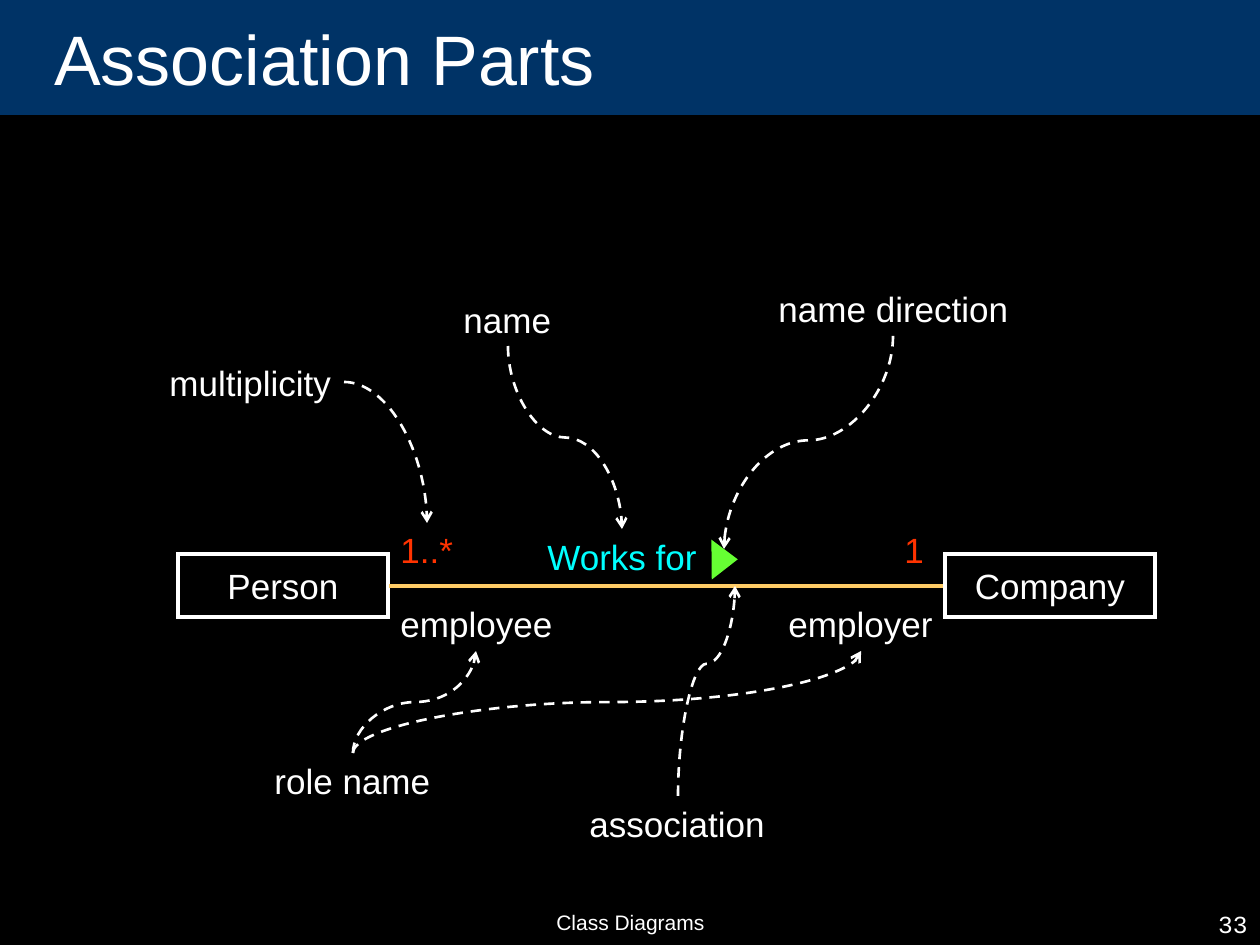
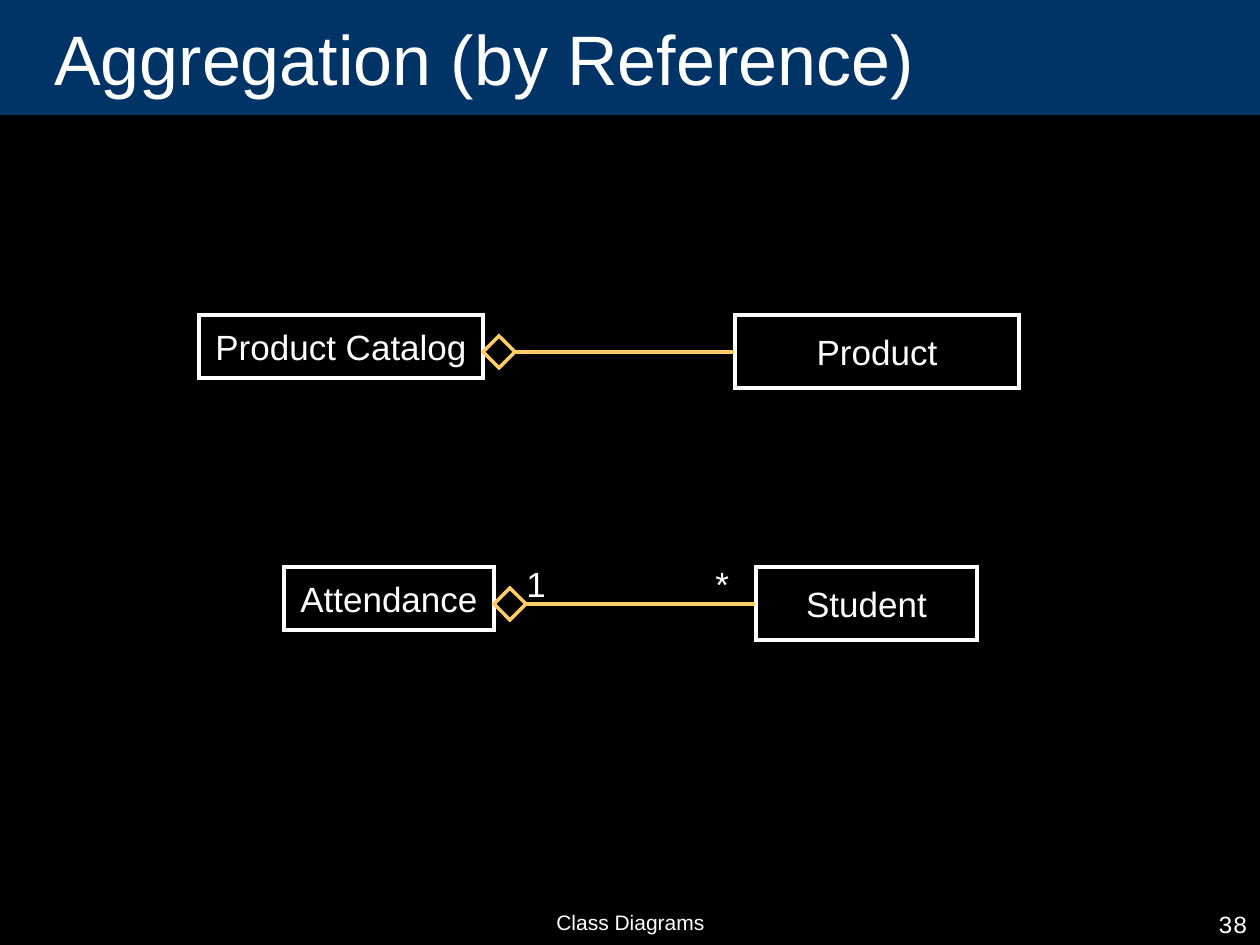
from lxml import etree
from pptx import Presentation
from pptx.dml.color import RGBColor
from pptx.enum import dml, shapes, text
from pptx.oxml.ns import qn
from pptx.util import Emu, Pt

PX = 914400 / 126
BLACK, NAVY, WHITE = "000000", "003366", "FFFFFF"
GOLD, CYAN, GREEN, RED = "FFCC66", "00FFFF", "66FF33", "FF3300"
FORM, ALIGN = shapes.MSO_SHAPE, text.PP_ALIGN


def px(*sizes):
    """Turn pixel lengths into EMU."""
    return [Emu(round(size * PX)) for size in sizes]


def paint(color, tone):
    """Set a colour object from a hex string."""
    color.rgb = RGBColor.from_string(tone)


def write(shape, words, size=20, tone=WHITE, align=ALIGN.LEFT, face="Arial"):
    """Write one line of text into a shape."""
    para = shape.text_frame.paragraphs[0]
    para.alignment = align
    run = para.add_run()
    run.text = words
    run.font.size = Pt(size)
    run.font.name = face
    paint(run.font.color, tone)


def form(slide, kind, box, fill=None, edge=None, width=2):
    """Add a flat preset shape with sharp corners."""
    shape = slide.shapes.add_shape(kind, *px(*box))
    shape.shadow.inherit = False
    if fill:
        shape.fill.solid()
        paint(shape.fill.fore_color, fill)
    else:
        shape.fill.background()
    if edge:
        paint(shape.line.color, edge)
        shape.line.width = Pt(width)
        etree.SubElement(shape.line._get_or_add_ln(), qn("a:miter"), lim="800000")
    else:
        shape.line.fill.background()
    return shape


def entity(slide, name, box):
    """Add an outlined class box with its name."""
    shape = form(slide, FORM.RECTANGLE, box, edge=WHITE)
    shape.text_frame.word_wrap = False
    shape.text_frame.vertical_anchor = text.MSO_ANCHOR.MIDDLE
    write(shape, name, align=ALIGN.CENTER)


def label(slide, words, x, y, wide, tone=WHITE):
    """Add a label that does not wrap."""
    shape = slide.shapes.add_textbox(*px(x, y, wide, 54))
    shape.text_frame.word_wrap = False
    shape.text_frame.auto_size = text.MSO_AUTO_SIZE.SHAPE_TO_FIT_TEXT
    write(shape, words, tone=tone)


def link(slide, start, end, kind=shapes.MSO_CONNECTOR.STRAIGHT, tone=GOLD, width=2):
    """Add a connector without shadow."""
    line = slide.shapes.add_connector(kind, *px(*start, *end))
    paint(line.line.color, tone)
    line.line.width = Pt(width)
    etree.SubElement(line._element.spPr, qn("a:effectLst"))
    return line


def curve(slide, start, end, bend=None):
    """Add a dashed arrow: an S leaving upright, or a quarter bend without bend."""
    (x, y), (right, low) = start, end
    if bend is not None:
        mid_x, mid_y = (x + right) / 2, (y + low) / 2
        tall, wide = abs(low - y) / 2, abs(right - x) / 2
        turn = 90 if right < x else 270
        side = tall if (low > y) == (turn == 90) else -tall
        start = mid_x - side, mid_y - wide
        end = mid_x + side, mid_y + wide
    line = link(slide, start, end, shapes.MSO_CONNECTOR.CURVE, WHITE, 1.5)
    line.line.dash_style = dml.MSO_LINE.DASH
    etree.SubElement(line.line._get_or_add_ln(), qn("a:tailEnd"), type="arrow")
    props = line._element.spPr
    shape = props.find(qn("a:prstGeom"))
    if bend is None:
        shape.set("prst", "curvedConnector2")
    else:
        props.find(qn("a:xfrm")).set("rot", str(turn * 60000))
        etree.SubElement(shape.find(qn("a:avLst")), qn("a:gd"),
                         name="adj1", fmla=f"val {round(bend * 100000)}")


def frame(deck, title, page):
    """Add a slide with its band, title and footer."""
    slide = deck.slides.add_slide(deck.slide_layouts[6])
    slide.background.fill.solid()
    paint(slide.background.fill.fore_color, BLACK)
    form(slide, FORM.RECTANGLE, (0, 0, 1260, 115), NAVY)
    head = form(slide, FORM.RECTANGLE, (42, 0, 1124, 115), NAVY)
    head.text_frame.vertical_anchor = text.MSO_ANCHOR.MIDDLE
    write(head, title, 40)
    for words, x, wide, size, align, face in (
            ("Class Diagrams", 431, 399, 12, ALIGN.CENTER, "Arial"),
            (page, 998, 262, 14, ALIGN.RIGHT, "Courier New")):
        foot = slide.shapes.add_textbox(*px(x, 903, wide, 42))
        foot.text_frame.word_wrap = True
        write(foot, words, size, align=align, face=face)
    return slide


def parts(slide, left, top):
    """Draw the association and the arrows that name its parts."""
    for name, x in (("Person", 20), ("Company", 787)):
        entity(slide, name, (left + x, top + 273, 210, 63))
    link(slide, (left + 231, top + 305), (left + 785, top + 305))
    sign = form(slide, FORM.FLOWCHART_EXTRACT, (left + 550, top + 268, 32, 21),
                GREEN, GREEN, 2.25)
    sign.rotation = 89.5
    for words, x, y, wide, tone in (
            ("Works for", 377, 248, 178, CYAN),
            ("employee", 230, 315, 182, WHITE),
            ("employer", 618, 315, 173, WHITE),
            ("1..*", 230, 241, 82, RED),
            ("1", 734, 241, 48, RED),
            ("name", 293, 11, 117, WHITE),
            ("name direction", 608, 0, 259, WHITE),
            ("association", 419, 515, 206, WHITE),
            ("role name", 104, 472, 185, WHITE),
            ("multiplicity", -1, 74, 194, WHITE)):
        label(slide, words, left + x, top + y, wide, tone)
    for x, y, right, low, bend in (
            (186, 101, 269, 242, None),
            (350, 65, 464, 248, 0.5),
            (735, 55, 566, 268, 0.49),
            (195, 472, 318, 370, 0.5),
            (195, 472, 703, 370, 0.5),
            (520, 515, 577, 305, 0.63)):
        curve(slide, (left + x, top + y), (left + right, top + low), bend)


def owns(slide, box, whole, part, ends=()):
    """Draw a whole and its part, joined by a diamond and a line."""
    x, y, wide, high = box
    (name, span), (item, size) = whole, part
    joint, side = x + span, x + wide - size
    entity(slide, name, (x, y, span, high - 10))
    entity(slide, item, (side, y, size, high))
    form(slide, FORM.DIAMOND, (joint, y + 21, 32, 32), edge=GOLD)
    link(slide, (joint + 33, y + 37), (side - 1, y + 37))
    for words, spot, room in zip(ends, (joint + 20, side - 53), (48, 42)):
        label(slide, words, spot, y - 11, room)


def main():
    """Build both slides and save them."""
    deck = Presentation()
    deck.slide_width, deck.slide_height = px(1260, 945)
    parts(frame(deck, "Association Parts", "33"), 158, 281)
    slide = frame(deck, "Aggregation (by Reference)", "38")
    owns(slide, (199, 315, 820, 73), ("Product Catalog", 284), ("Product", 284))
    owns(slide, (284, 567, 693, 73), ("Attendance", 210), ("Student", 221), "1*")
    deck.save("out.pptx")


if __name__ == "__main__":
    main()
